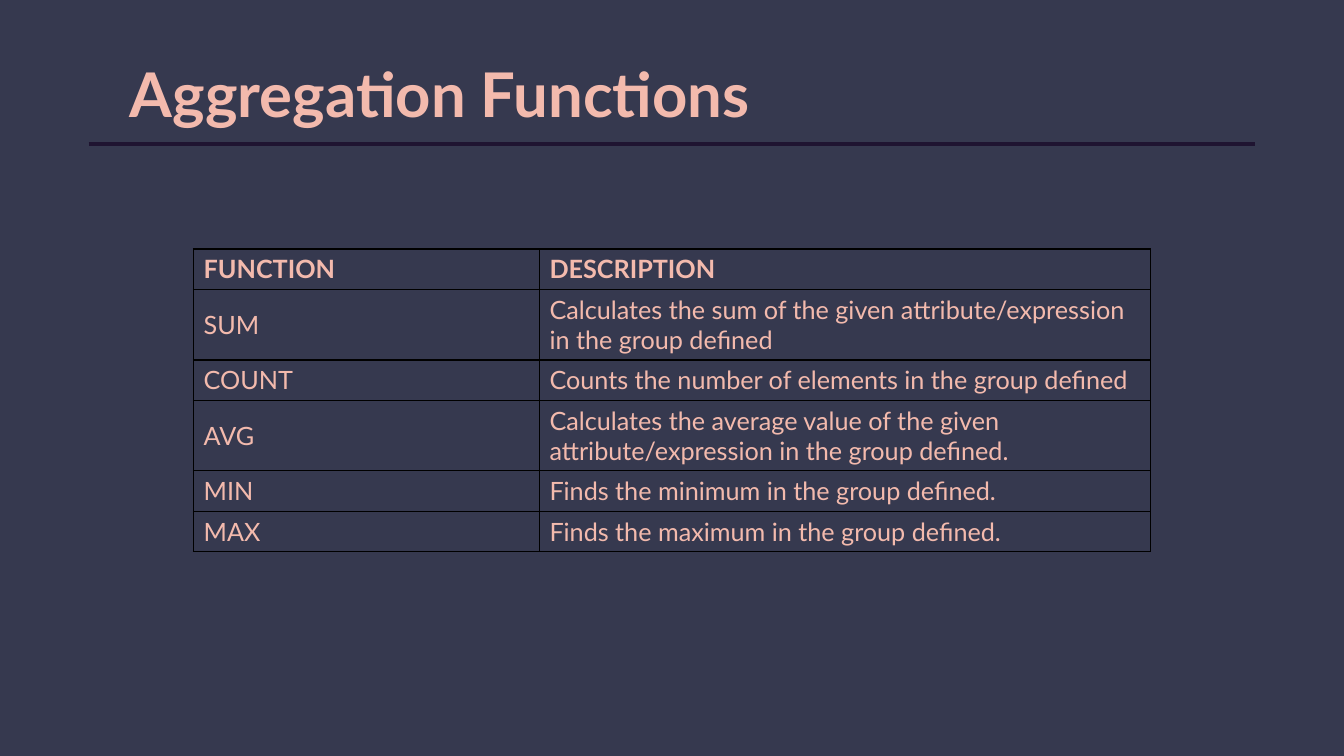
from dataclasses import dataclass

from lxml import etree
from pptx import Presentation
from pptx.dml.color import RGBColor
from pptx.enum.shapes import MSO_CONNECTOR
from pptx.enum.text import MSO_ANCHOR
from pptx.oxml.ns import qn
from pptx.slide import Slide
from pptx.table import _Cell
from pptx.text.text import TextFrame
from pptx.util import Inches, Pt

STRAIGHT = MSO_CONNECTOR.STRAIGHT
TOP, MIDDLE = MSO_ANCHOR.TOP, MSO_ANCHOR.MIDDLE

FONT = "Lato"
NAVY, PEACH, PLUM, BLACK = "36394F", "F3BAAD", "1F1431", "000000"
COLUMN_WIDTHS = (3.43, 6.06)
BORDER_SIDES = ("a:lnL", "a:lnR", "a:lnT", "a:lnB")


@dataclass(frozen=True)
class FunctionRow:
    name: str
    description: str
    height: float = 0.4
    bold: bool = False


ROWS = (
    FunctionRow("FUNCTION", "DESCRIPTION", bold=True),
    FunctionRow("SUM", "Calculates the sum of the given attribute/expression in the group defined", 0.7),
    FunctionRow("COUNT", "Counts the number of elements in the group defined"),
    FunctionRow("AVG", "Calculates the average value of the given attribute/expression in the group defined.", 0.7),
    FunctionRow("MIN", "Finds the minimum in the group defined."),
    FunctionRow("MAX", "Finds the maximum in the group defined."),
)


def color(value: str) -> RGBColor:
    return RGBColor.from_string(value)


def write(frame: TextFrame, text: str, size: float, bold: bool) -> None:
    frame.word_wrap = True
    para = frame.paragraphs[0]
    para.text = text
    para.font.name = FONT
    para.font.size = Pt(size)
    para.font.bold = bold
    para.font.color.rgb = color(PEACH)


def add_borders(cell: _Cell) -> None:
    properties = cell._tc.get_or_add_tcPr()
    # Border lines come before the fill in the cell properties
    for position, side in enumerate(BORDER_SIDES):
        line = etree.Element(qn(side), w=str(Pt(1)))
        fill = etree.SubElement(line, qn("a:solidFill"))
        etree.SubElement(fill, qn("a:srgbClr"), val=BLACK)
        properties.insert(position, line)


def add_title(page: Slide) -> None:
    box = page.shapes.add_textbox(Inches(1.19), Inches(0.51), Inches(9.04), Inches(0.77))
    box.fill.solid()
    box.fill.fore_color.rgb = color(NAVY)
    box.text_frame.vertical_anchor = TOP
    write(box.text_frame, "Aggregation Functions", 44, True)


def add_rule(page: Slide) -> None:
    rule = page.shapes.add_connector(STRAIGHT, Inches(0.88), Inches(1.43), Inches(12.45), Inches(1.43))
    rule.line.color.rgb = color(PLUM)
    rule.line.width = Pt(3)
    etree.SubElement(rule._element.spPr, qn("a:effectLst"))


def add_function_table(page: Slide) -> None:
    table = page.shapes.add_table(
        len(ROWS), len(COLUMN_WIDTHS), Inches(1.92), Inches(2.47),
        Inches(sum(COLUMN_WIDTHS)), Inches(sum(row.height for row in ROWS)),
    ).table
    table.first_row = False
    table.horz_banding = False
    for column, width in zip(table.columns, COLUMN_WIDTHS):
        column.width = Inches(width)
    for table_row, row in zip(table.rows, ROWS):
        table_row.height = Inches(row.height)
        for cell, text in zip(table_row.cells, (row.name, row.description)):
            cell.fill.background()
            cell.vertical_anchor = MIDDLE
            write(cell.text_frame, text, 18, row.bold)
            add_borders(cell)


def main() -> None:
    # Deck and background
    deck = Presentation()
    deck.slide_width, deck.slide_height = Inches(13.33), Inches(7.5)
    page = deck.slides.add_slide(deck.slide_layouts[6])
    page.background.fill.solid()
    page.background.fill.fore_color.rgb = color(NAVY)

    # Heading and table
    add_title(page)
    add_rule(page)
    add_function_table(page)
    deck.save("out.pptx")


if __name__ == "__main__":
    main()
